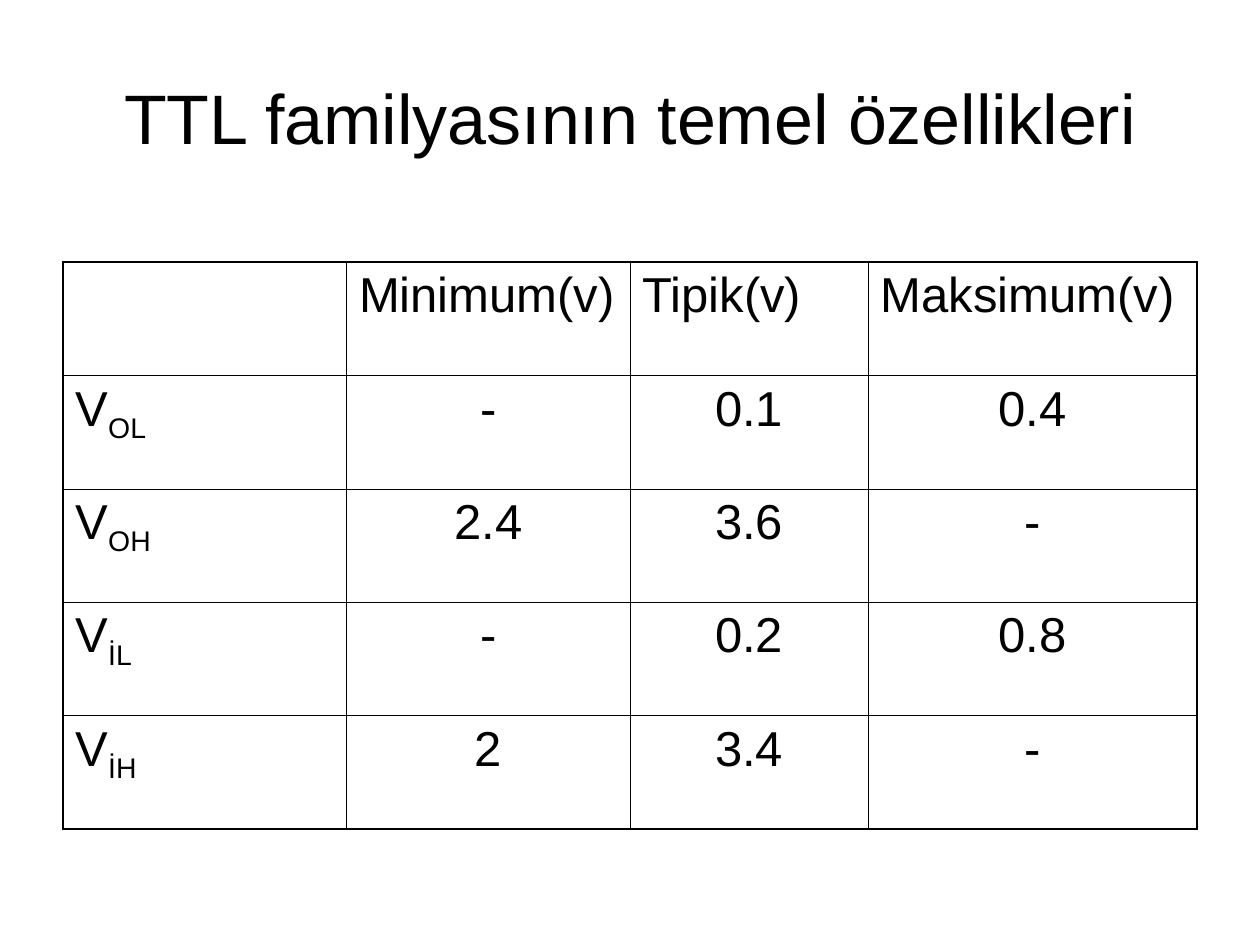
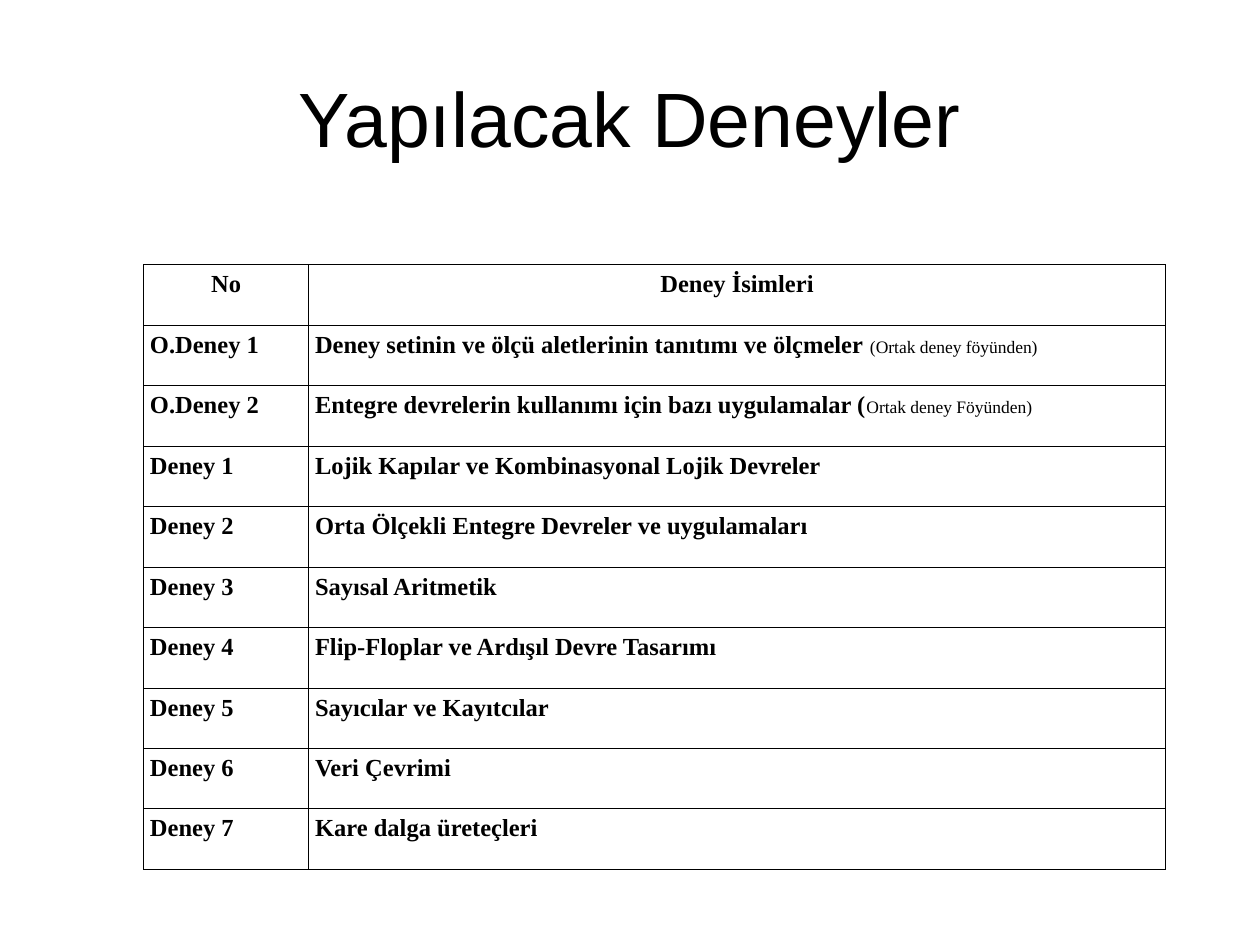
from lxml import etree
from pptx import Presentation
from pptx.dml.color import RGBColor
from pptx.enum.text import MSO_ANCHOR, PP_ALIGN
from pptx.oxml.ns import qn
from pptx.util import Inches, Pt

BLACK = RGBColor(0x00, 0x00, 0x00)
WHITE = RGBColor(0xFF, 0xFF, 0xFF)
THIN, THICK = Pt(0.45), Pt(1.08)

# A cell is a plain string, or a (main, tail) pair whose tail has its own format.
voltage_rows = [
    ["", "Minimum(v)", "Tipik(v)", "Maksimum(v)"],
    [("V", "OL"), "-", "0.1", "0.4"],
    [("V", "OH"), "2.4", "3.6", "-"],
    [("V", "İL"), "-", "0.2", "0.8"],
    [("V", "İH"), "2", "3.4", "-"],
]
experiment_rows = [
    ["No", "Deney İsimleri"],
    ["O.Deney 1", ("Deney setinin ve ölçü aletlerinin tanıtımı ve ölçmeler ",
                   "(Ortak deney föyünden)")],
    ["O.Deney 2", ("Entegre devrelerin kullanımı için bazı uygulamalar (",
                   "Ortak deney Föyünden)")],
]
experiment_names = [
    "Lojik Kapılar ve Kombinasyonal Lojik Devreler",
    "Orta Ölçekli Entegre Devreler ve uygulamaları",
    "Sayısal Aritmetik",
    "Flip-Floplar ve Ardışıl Devre Tasarımı",
    "Sayıcılar ve Kayıtcılar",
    "Veri Çevrimi",
    "Kare dalga üreteçleri",
]
experiment_rows += [[f"Deney {number}", name]
                    for number, name in enumerate(experiment_names, 1)]

slides = [
    {
        "title": "TTL familyasının temel özellikleri", "title_size": 40,
        "rows": voltage_rows, "left": 0.5, "top": 2.08,
        "widths": [2.25, 2.25, 1.89, 2.61], "row_height": 0.9,
        "side_margin": 0.1, "outline": THICK,
        "font": {"name": "Arial", "size": Pt(28), "bold": False},
        "tail_font": {}, "tail_baseline": "-25000",
        "header_align": PP_ALIGN.LEFT,
        "aligns": [PP_ALIGN.LEFT] + [PP_ALIGN.CENTER] * 3,
    },
    {
        "title": "Yapılacak Deneyler", "title_size": 44,
        "rows": experiment_rows, "left": 1.14, "top": 2.1,
        "widths": [1.31, 6.8], "row_height": 0.48,
        "side_margin": 0.05, "outline": THIN,
        "font": {"name": "Times New Roman", "size": Pt(14), "bold": True},
        "tail_font": {"size": Pt(10), "bold": False}, "tail_baseline": "0",
        "header_align": PP_ALIGN.CENTER,
        "aligns": [PP_ALIGN.JUSTIFY] * 2,
    },
]


def add_run(paragraph, text, font_format):
    run = paragraph.add_run()
    run.text = text
    run.font.color.rgb = BLACK
    for name, value in font_format.items():
        setattr(run.font, name, value)
    return run


def set_borders(cell, widths):
    """Draw solid black borders; widths are left, right, top, bottom."""
    properties = cell._tc.get_or_add_tcPr()
    for side, width in zip("LRTB", widths):
        line = etree.SubElement(properties, qn(f"a:ln{side}"), w=str(width))
        fill = etree.SubElement(line, qn("a:solidFill"))
        etree.SubElement(fill, qn("a:srgbClr"), val=str(BLACK))


presentation = Presentation()
presentation.slide_width = Inches(10)
presentation.slide_height = Inches(7.5)

for content in slides:
    slide = presentation.slides.add_slide(presentation.slide_layouts[6])

    title = slide.shapes.add_textbox(Inches(0.5), Inches(0.3), Inches(9), Inches(1.25))
    title.text_frame.word_wrap = True
    title.text_frame.vertical_anchor = MSO_ANCHOR.MIDDLE
    paragraph = title.text_frame.paragraphs[0]
    paragraph.alignment = PP_ALIGN.CENTER
    add_run(paragraph, content["title"],
            {"name": "Arial", "size": Pt(content["title_size"])})

    rows, widths, outline = content["rows"], content["widths"], content["outline"]
    last_row, last_column = len(rows) - 1, len(widths) - 1
    table = slide.shapes.add_table(
        len(rows), len(widths), Inches(content["left"]), Inches(content["top"]),
        Inches(sum(widths)), Inches(content["row_height"] * len(rows))).table
    table.first_row = table.horz_banding = False
    for column, width in zip(table.columns, widths):
        column.width = Inches(width)

    for row_index, row in enumerate(rows):
        for column_index, value in enumerate(row):
            cell = table.cell(row_index, column_index)
            edges = [column_index == 0, column_index == last_column,
                     row_index == 0, row_index == last_row]
            set_borders(cell, [outline if edge else THIN for edge in edges])
            cell.fill.solid()
            cell.fill.fore_color.rgb = WHITE
            cell.margin_left = cell.margin_right = Inches(content["side_margin"])
            cell.margin_top = cell.margin_bottom = Inches(0.05)

            paragraph = cell.text_frame.paragraphs[0]
            paragraph.alignment = (content["aligns"][column_index] if row_index
                                   else content["header_align"])
            main, tail = value if isinstance(value, tuple) else (value, "")
            if main:
                add_run(paragraph, main, content["font"])
            if tail:
                run = add_run(paragraph, tail, content["font"] | content["tail_font"])
                run.font._element.set("baseline", content["tail_baseline"])

presentation.save("out.pptx")
